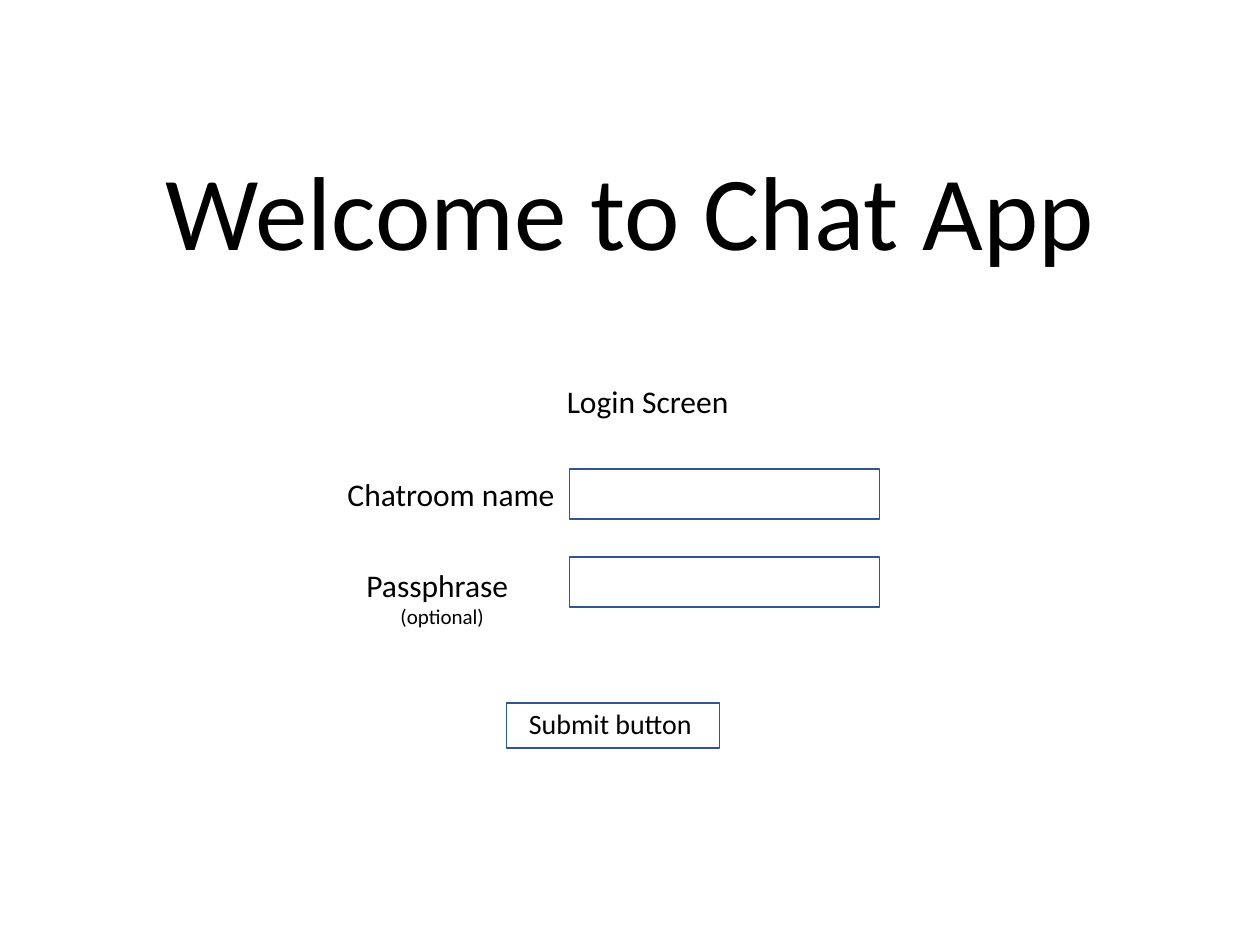
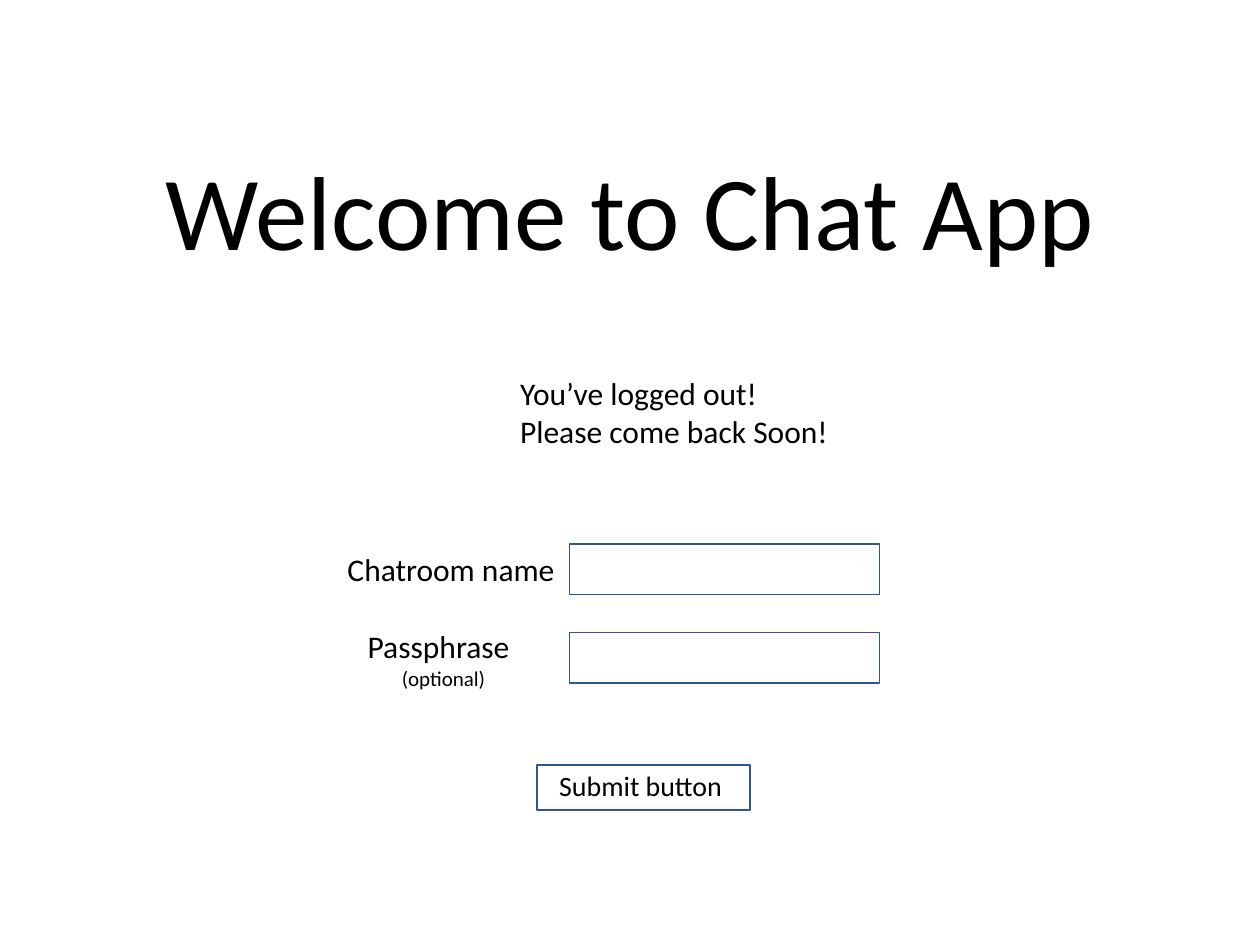
import dataclasses
import typing

import pptx
import pptx.dml.color
import pptx.enum.shapes
import pptx.enum.text
import pptx.util

Inches = pptx.util.Inches
Pt = pptx.util.Pt
Align = pptx.enum.text.PP_ALIGN
Anchor = pptx.enum.text.MSO_ANCHOR
Fit = pptx.enum.text.MSO_AUTO_SIZE

# Shared style
COLORS = {"text": "000000", "edge": "325491", "back": "FFFFFF"}
FONT = "Calibri"
TITLE = "Welcome to Chat App"
TITLE_BOX = (0.75, 1.22, 8.5, 1)
TITLE_FORM = {"alignment": Align.CENTER, "line_spacing": 0.9}
BUTTON_FORM = {"line_spacing": 0.9, "space_before": Pt(10)}

# Form grid
FIELD_X, FIELD_W, FIELD_H = 4.52, 2.46, 0.4
FIELD_STEP = 0.7
LABEL_X, LABEL_W = 2.66, 1.86
BUTTON_W, BUTTON_H = 1.69, 0.36

Box = typing.Tuple[float, float, float, float]


@dataclasses.dataclass(frozen=True)
class Line:
    text: str
    size: int = 18
    form: typing.Dict[str, typing.Any] = dataclasses.field(default_factory=dict)


@dataclasses.dataclass(frozen=True)
class Screen:
    lines: typing.List[str]
    box: Box
    top: float
    phrase: typing.Tuple[float, float]
    button: typing.Tuple[float, float]


SCREENS = [
    Screen(["Login Screen"], (4.4, 2.98, 1.5, 0.4), 3.72, (2.81, 4.44), (4.02, 5.58)),
    Screen(["You’ve logged out!", "Please come back Soon!"],
           (4.03, 2.92, 2.67, 0.71), 4.32, (2.82, 4.93), (4.26, 6.07)),
]


def color(name: str) -> pptx.dml.color.RGBColor:
    return pptx.dml.color.RGBColor.from_string(COLORS[name])


def apply(item: typing.Any, form: typing.Dict[str, typing.Any]) -> None:
    for key, value in form.items():
        setattr(item, key, value)


def write(frame: typing.Any, lines: typing.List[Line]) -> None:
    for index, line in enumerate(lines):
        para = frame.add_paragraph() if index else frame.paragraphs[0]
        apply(para, line.form)
        run = para.add_run()
        run.text = line.text
        apply(run.font, {"name": FONT, "size": Pt(line.size)})
        run.font.color.rgb = color("text")


def add_text(slide: typing.Any, box: Box, lines: typing.List[Line],
             wrap: bool = False, fit: typing.Any = Fit.SHAPE_TO_FIT_TEXT) -> None:
    frame = slide.shapes.add_textbox(*map(Inches, box)).text_frame
    apply(frame, {"word_wrap": wrap, "auto_size": fit})
    write(frame, lines)


def add_frame(slide: typing.Any, box: Box) -> None:
    shape = slide.shapes.add_shape(
        pptx.enum.shapes.MSO_SHAPE.RECTANGLE, *map(Inches, box))
    shape.shadow.inherit = False
    shape.fill.background()
    shape.line.color.rgb = color("edge")
    shape.line.width = Pt(1)


def add_title(slide: typing.Any) -> None:
    title = slide.shapes.title
    sides = ("left", "top", "width", "height")
    apply(title, dict(zip(sides, map(Inches, TITLE_BOX))))
    apply(title.text_frame, {"vertical_anchor": Anchor.BOTTOM,
                             "word_wrap": True, "auto_size": Fit.NONE})
    write(title.text_frame, [Line(TITLE, 60, TITLE_FORM)])


def add_screen(deck: typing.Any, screen: Screen) -> None:
    slide = deck.slides.add_slide(deck.slide_layouts[5])
    slide.background.fill.solid()
    slide.background.fill.fore_color.rgb = color("back")
    add_title(slide)
    add_text(slide, screen.box, [Line(text) for text in screen.lines])

    # Fields and their labels
    for row in range(2):
        add_frame(slide, (FIELD_X, screen.top + row * FIELD_STEP, FIELD_W, FIELD_H))
    add_text(slide, (LABEL_X, screen.top, LABEL_W, FIELD_H), [Line("Chatroom name")])
    add_text(slide, (*screen.phrase, 1.4, 0.61),
             [Line("Passphrase"), Line("(optional)", 12, {"alignment": Align.CENTER})],
             wrap=True)

    # Submit button
    left, top = screen.button
    add_frame(slide, (left, top, BUTTON_W, BUTTON_H))
    add_text(slide, (left + 0.08, top + 0.01, 1.53, 0.44),
             [Line("Submit button", 16, BUTTON_FORM)], wrap=True, fit=Fit.NONE)


def main() -> None:
    deck = pptx.Presentation()
    apply(deck, {"slide_width": Inches(10), "slide_height": Inches(7.5)})
    for screen in SCREENS:
        add_screen(deck, screen)
    deck.save("out.pptx")


if __name__ == "__main__":
    main()
